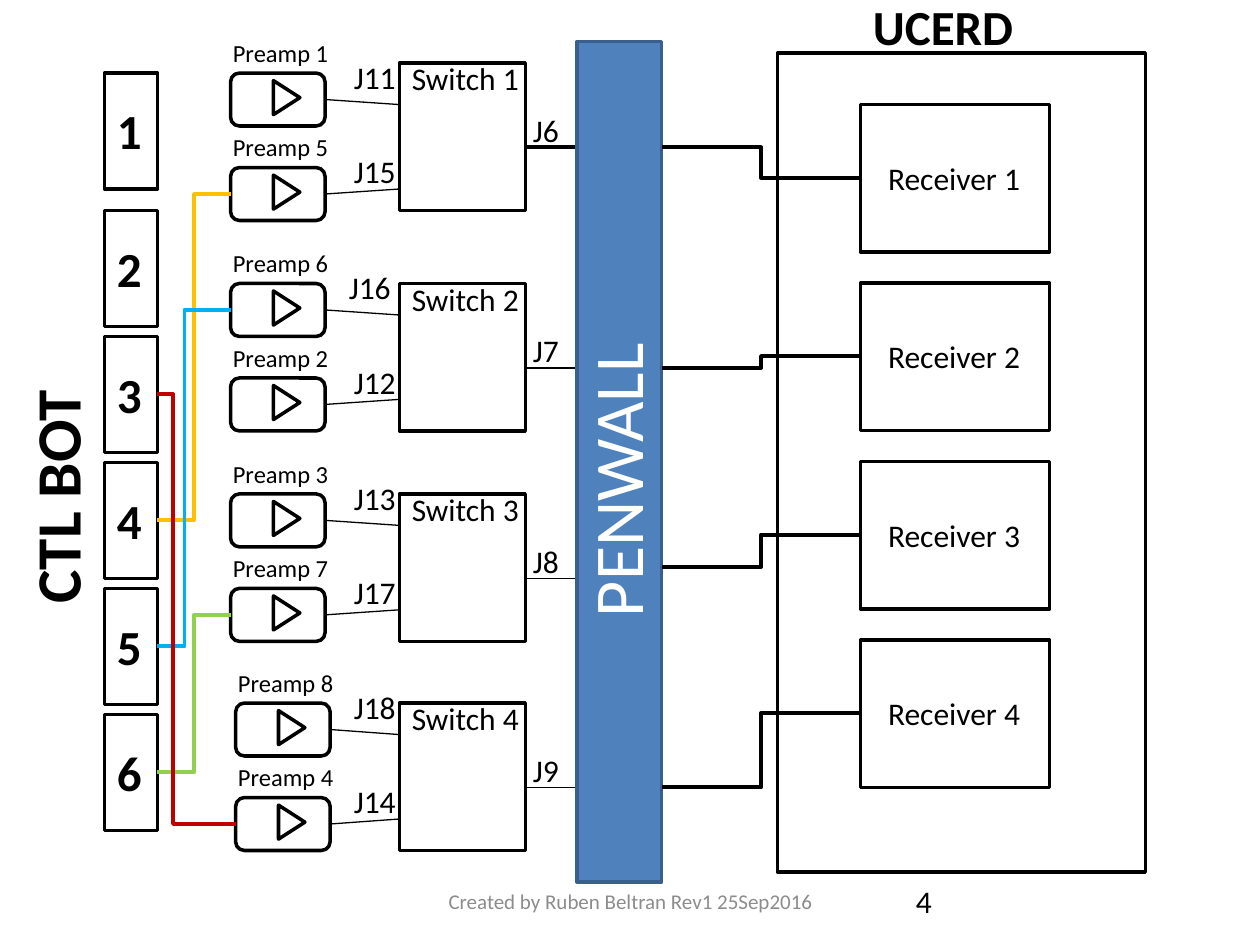
from pptx import Presentation
from pptx.dml.color import RGBColor
from pptx.enum.shapes import MSO_CONNECTOR as LINK, MSO_SHAPE as SHAPE
from pptx.enum.text import MSO_ANCHOR, MSO_AUTO_SIZE, PP_ALIGN
from pptx.oxml.ns import qn
from pptx.util import Inches, Pt
from lxml import etree

BLACK = RGBColor(0x00, 0x00, 0x00)
WHITE = RGBColor(0xFF, 0xFF, 0xFF)
GRAY = RGBColor(0x8C, 0x8C, 0x8C)
BLUE = RGBColor(0x4F, 0x81, 0xBD)
DARK_BLUE = RGBColor(0x3A, 0x5F, 0x8C)
YELLOW = RGBColor(0xFF, 0xC0, 0x00)
GREEN = RGBColor(0x92, 0xD0, 0x50)
CYAN = RGBColor(0x00, 0xB0, 0xF0)
RED = RGBColor(0xC0, 0x00, 0x00)

deck = Presentation()
deck.slide_width, deck.slide_height = Inches(10), Inches(7.5)
page = deck.slides.add_slide(deck.slide_layouts[6])


def add_item(left, top, width, height, kind=None, text=None, size=18,
             bold=False, color=BLACK, wrap=False):
    """Add an outlined shape if kind is given, otherwise a text box."""
    place = [Inches(v) for v in (left, top, width, height)]
    if kind is not None:
        shape = page.shapes.add_shape(kind, *place)
        shape.shadow.inherit = False
        shape.fill.background()
        shape.line.color.rgb = BLACK
        shape.line.width = Pt(2)
        return shape
    box = page.shapes.add_textbox(*place)
    box.text_frame.word_wrap = wrap
    box.text_frame.auto_size = MSO_AUTO_SIZE.SHAPE_TO_FIT_TEXT
    span = box.text_frame.paragraphs[0].add_run()
    span.text = text
    span.font.name = "Calibri"
    span.font.size = Pt(size)
    span.font.bold = bold
    span.font.color.rgb = color
    return box


def add_wire(x1, y1, x2, y2, kind=LINK.STRAIGHT, color=BLACK, width=0.75, bend=0.5):
    """Add a connector; bend is where an elbow turns, as a share of its width."""
    wire = page.shapes.add_connector(kind, *[Inches(v) for v in (x1, y1, x2, y2)])
    wire.line.color.rgb = color
    wire.line.width = Pt(width)
    properties = wire._element.spPr
    etree.SubElement(properties, qn("a:effectLst"))
    if bend != 0.5:
        guides = properties.find(qn("a:prstGeom")).get_or_add_avLst()
        etree.SubElement(guides, qn("a:gd"), name="adj1", fmla=f"val {round(bend * 100000)}")


# Bottom controller slots
title = add_item(-0.58, 3.51, 2.05, 0.71, text="CTL BOT", size=36, bold=True, wrap=True)
title.rotation = 270
slot_tops = [0.58] + [1.67 + i for i in range(5)]
for number, top in enumerate(slot_tops, 1):
    add_item(0.83, top, 0.42, 0.92, SHAPE.RECTANGLE)
    add_item(0.83, top + 0.17, 0.4, 0.57, text=str(number), size=28, bold=True)

# Switches, each fed by an upper and a lower preamp:
# switch top, first preamp top, preamp left, preamp numbers, left of upper jack label
banks = [
    (0.5, 0.58, 1.83, (1, 5), 2.71),
    (2.25, 2.25, 1.83, (6, 2), 2.67),
    (3.92, 3.92, 1.83, (3, 7), 2.71),
    (5.58, 5.58, 1.87, (8, 4), 2.71),
]
preamp_inputs = {}
for bank, (switch_top, first_top, left, preamps, upper_jack_left) in enumerate(banks, 1):
    add_item(3.17, switch_top, 1, 1.17, SHAPE.RECTANGLE)
    add_item(3.17, switch_top - 0.08, 1.06, 0.4, text=f"Switch {bank}")
    add_item(4.13, switch_top + 0.33, 0.41, 0.4, text=f"J{bank + 5}")
    add_wire(4.17, switch_top + 0.67, 4.58, switch_top + 0.67,
             width=2.25 if bank == 1 else 0.75)
    ports = ((first_top, 0.25, upper_jack_left), (first_top + 0.75, 0.17, 2.71))
    for preamp, (top, port_drop, jack_left) in zip(preamps, ports):
        middle = top + 0.21
        preamp_inputs[preamp] = (left, middle)
        add_item(left - 0.08, top - 0.33, 0.97, 0.34, text=f"Preamp {preamp}", size=14)
        triangle = add_item(left + 0.31, top + 0.09, 0.27, 0.21, SHAPE.ISOSCELES_TRIANGLE)
        triangle.rotation = 90
        add_item(left, top, 0.75, 0.42, SHAPE.ROUNDED_RECTANGLE)
        add_item(jack_left, top - 0.17, 0.54, 0.4, text=f"J{preamp + 10}")
        add_wire(left + 0.75, middle, 3.17, top + port_drop)

# Penetration wall
wall = add_item(4.58, 0.33, 0.67, 6.67, SHAPE.RECTANGLE)
wall.fill.solid()
wall.fill.fore_color.rgb = BLUE
wall.line.color.rgb = DARK_BLUE
wall_name = add_item(3.6, 3.32, 2.58, 0.77, text="PENWALL", size=40, color=WHITE, wrap=True)
wall_name.rotation = 270

# Receivers
add_item(6.17, 0.42, 2.92, 6.5, SHAPE.RECTANGLE)
add_item(6.83, -0.08, 1.33, 0.57, text="UCERD", size=28, bold=True)
for index, wall_exit in enumerate((1.17, 2.92, 4.5, 6.25)):
    top = 0.83 + index * 1.417
    add_item(6.83, top, 1.5, 1.17, SHAPE.RECTANGLE)
    add_item(6.95, top + 0.38, 1.26, 0.4, text=f"Receiver {index + 1}")
    add_wire(5.25, wall_exit, 6.83, top + 0.58, LINK.ELBOW, width=2.25)

# Coloured wires from preamps back to slots
for preamp, slot, color, bend in (
    (5, 4, YELLOW, 0.5),
    (7, 6, GREEN, 0.5),
    (6, 5, CYAN, 0.63),
    (4, 3, RED, 0.8),
):
    add_wire(*preamp_inputs[preamp], 1.25, slot_tops[slot - 1] + 0.46,
             LINK.ELBOW, color, 2.25, bend)

# Footer
credit = add_item(3.42, 6.95, 3.17, 0.4, text="Created by Ruben Beltran Rev1 25Sep2016",
                  size=12, color=GRAY, wrap=True)
credit.text_frame.auto_size = MSO_AUTO_SIZE.NONE
credit.text_frame.vertical_anchor = MSO_ANCHOR.MIDDLE
credit.text_frame.paragraphs[0].alignment = PP_ALIGN.CENTER
add_item(7.17, 6.95, 2.33, 0.4, text="4", wrap=True)

deck.save("out.pptx")
